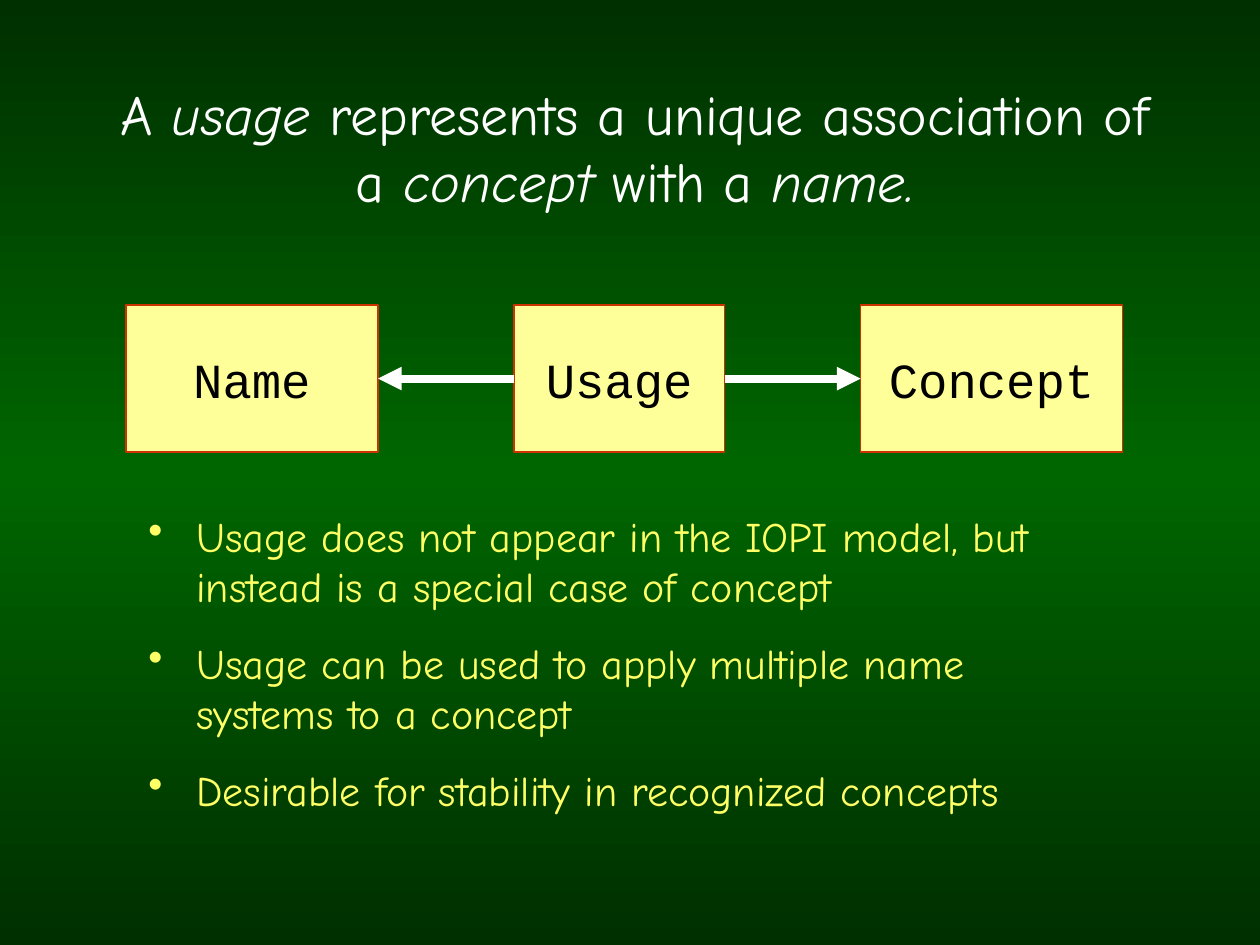
from copy import deepcopy

from pptx import Presentation
from pptx.dml.color import RGBColor
from pptx.enum.shapes import MSO_CONNECTOR, MSO_SHAPE
from pptx.enum.text import MSO_ANCHOR, PP_ALIGN
from pptx.oxml.ns import qn
from pptx.oxml.xmlchemy import OxmlElement
from pptx.util import Inches, Pt

DARK_GREEN = RGBColor(0x00, 0x2F, 0x00)
GREEN = RGBColor(0x00, 0x66, 0x00)
WHITE = RGBColor(0xFF, 0xFF, 0xFF)
BLACK = RGBColor(0x00, 0x00, 0x00)
PALE_YELLOW = RGBColor(0xFF, 0xFF, 0x99)
YELLOW = RGBColor(0xFF, 0xFF, 0x66)
RED = RGBColor(0xCC, 0x33, 0x00)

HEADING_FONT = "Comic Neue"
BOX_FONT = "Courier New"

# Title runs: text, italic
TITLE = [
    ("A ", False),
    ("usage", True),
    (" represents a unique association of a ", False),
    ("concept", True),
    (" with a ", False),
    ("name.", True),
]
# Entities: label, offset from the diagram's left edge, width
ENTITIES = [("Name", 0, 2), ("Usage", 3.08, 1.67), ("Concept", 5.83, 2.08)]
POINTS = [
    "Usage does not appear in the IOPI model, but instead is a special case of concept",
    "Usage can be used to apply multiple name systems to a concept",
    "Desirable for stability in recognized concepts",
]


def style(font, name, size, color):
    font.name, font.size = name, Pt(size)
    font.color.rgb = color


def add_child(parent, tag, **attributes):
    child = OxmlElement(tag)
    for key, value in attributes.items():
        child.set(key, value)
    parent.append(child)
    return child


def paint_background(slide):
    fill = slide.background.fill
    fill.gradient()
    fill.gradient_angle = 90
    first_stop = slide.background._cSld.find(".//" + qn("a:gs"))
    first_stop.addnext(deepcopy(first_stop))
    colors = (DARK_GREEN, GREEN, DARK_GREEN)
    for stop, position, color in zip(fill.gradient_stops, (0, 0.5, 1), colors):
        stop.position = position
        stop.color.rgb = color


def add_title(slide, left, top, width, height):
    frame = slide.shapes.add_textbox(
        Inches(left), Inches(top), Inches(width), Inches(height)).text_frame
    frame.word_wrap = True
    title = frame.paragraphs[0]
    title.alignment = PP_ALIGN.CENTER
    for words, italic in TITLE:
        run = title.add_run()
        run.text = words
        style(run.font, HEADING_FONT, 32, WHITE)
        run.font.italic = italic


def add_entity(slide, label, left, top, width, height):
    entity = slide.shapes.add_shape(
        MSO_SHAPE.RECTANGLE, Inches(left), Inches(top), Inches(width), Inches(height))
    entity.shadow.inherit = False
    entity.fill.solid()
    entity.fill.fore_color.rgb = PALE_YELLOW
    entity.line.color.rgb = RED
    entity.line.width = Pt(1)
    frame = entity.text_frame
    frame.word_wrap = False
    frame.vertical_anchor = MSO_ANCHOR.MIDDLE
    frame.text = label
    frame.paragraphs[0].alignment = PP_ALIGN.CENTER
    style(frame.paragraphs[0].runs[0].font, BOX_FONT, 28, BLACK)


def add_arrow(slide, start, end, y):
    arrow = slide.shapes.add_connector(
        MSO_CONNECTOR.STRAIGHT, Inches(start), Inches(y), Inches(end), Inches(y))
    arrow.line.color.rgb = WHITE
    arrow.line.width = Pt(4.5)
    add_child(arrow.line._get_or_add_ln(), "a:tailEnd", type="triangle")
    add_child(arrow._element.spPr, "a:effectLst")


def add_diagram(slide, left, top, height):
    edges = {}
    for label, offset, width in ENTITIES:
        add_entity(slide, label, left + offset, top, width, height)
        edges[label] = (left + offset, left + offset + width)
    # Usage points to both of its neighbours
    arrow_y = top + height / 2
    add_arrow(slide, edges["Usage"][0], edges["Name"][1], arrow_y)
    add_arrow(slide, edges["Usage"][1], edges["Concept"][0], arrow_y)


def add_points(slide, left, top, width, height):
    frame = slide.shapes.add_textbox(
        Inches(left), Inches(top), Inches(width), Inches(height)).text_frame
    frame.word_wrap = True
    frame.text = "\n".join(POINTS)
    for index, point in enumerate(frame.paragraphs):
        if index:
            point.space_before = Pt(15)
        properties = point._p.get_or_add_pPr()
        properties.set("marL", str(Inches(0.38)))
        properties.set("indent", str(Inches(-0.38)))
        bullet_color = add_child(properties, "a:buClr")
        add_child(bullet_color, "a:srgbClr", val=str(YELLOW))
        add_child(properties, "a:buChar", char="•")
        style(point.runs[0].font, HEADING_FONT, 24, YELLOW)


def main():
    deck = Presentation()
    deck.slide_width, deck.slide_height = Inches(10), Inches(7.5)
    slide = deck.slides.add_slide(deck.slide_layouts[6])
    paint_background(slide)
    add_diagram(slide, 1, 2.42, 1.17)
    add_title(slide, 0.75, 0.58, 8.58, 1.17)
    add_points(slide, 1.08, 4, 7.83, 2.52)
    deck.save("out.pptx")


if __name__ == "__main__":
    main()
